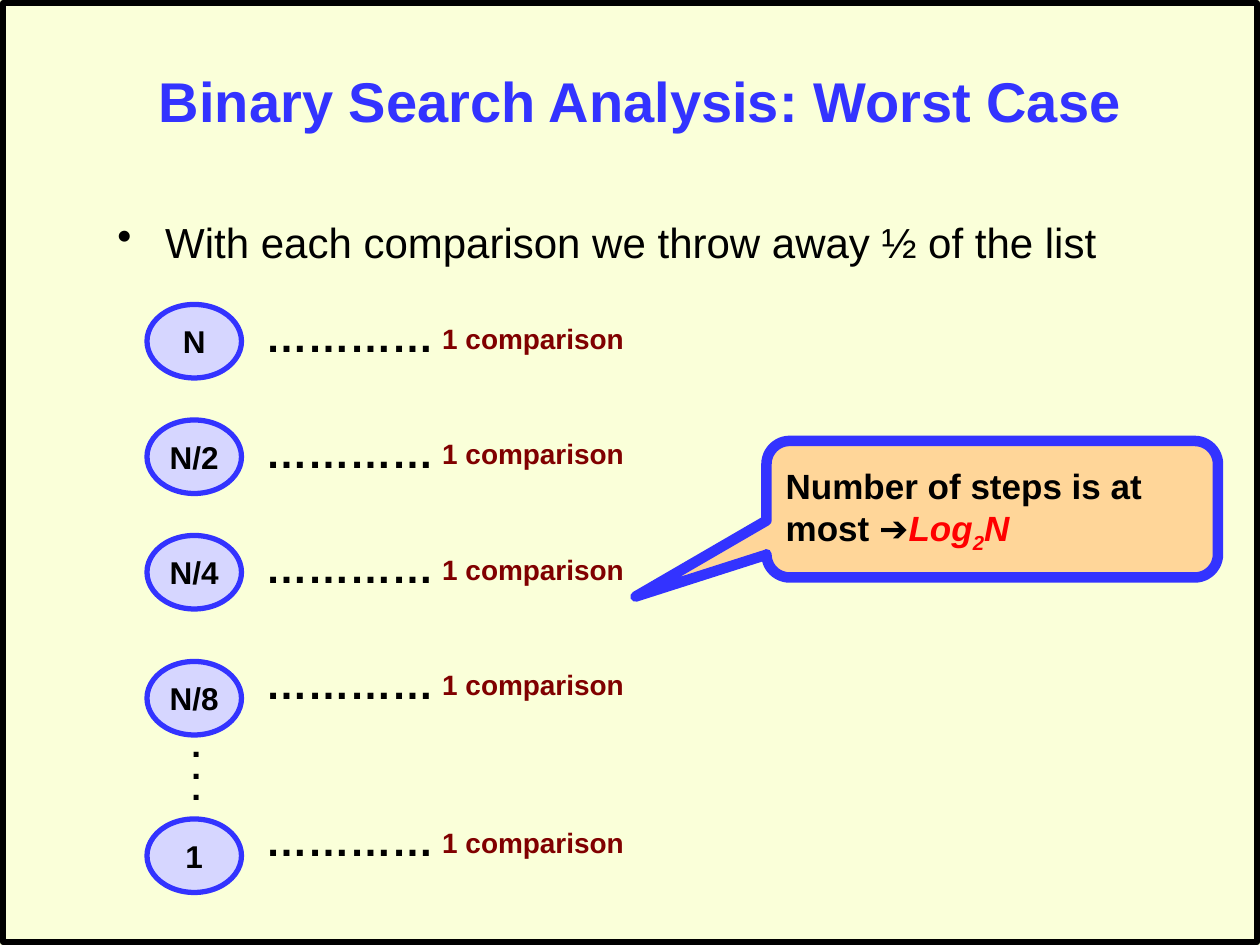
from lxml.etree import SubElement
from pptx import Presentation
from pptx.dml.color import RGBColor
from pptx.enum.shapes import MSO_SHAPE
from pptx.enum.text import MSO_ANCHOR, PP_ALIGN
from pptx.oxml.ns import qn
from pptx.util import Inches, Pt

CREAM = RGBColor(0xFA, 0xFF, 0xD9)
BLACK = RGBColor(0x00, 0x00, 0x00)
BLUE = RGBColor(0x33, 0x33, 0xFF)
LILAC = RGBColor(0xD6, 0xD6, 0xFF)
MAROON = RGBColor(0x80, 0x00, 0x00)
PEACH = RGBColor(0xFF, 0xD6, 0x99)
RED = RGBColor(0xFF, 0x00, 0x00)

COLS, ROWS = 120, 90
UNIT = Inches(10) / COLS
STEPS = [("N", 29, 29), ("N/2", 40, 40), ("N/4", 51, 51), ("N/8", 63, 62), ("1", 78, 77)]


def grid(*cells):
    return [round(c * UNIT) for c in cells]


def add_run(p, text, size, color=BLACK, bold=True, italic=False):
    r = p.add_run()
    r.text = text
    r.font.name = "Arial"
    r.font.size = Pt(size)
    r.font.bold = bold
    r.font.italic = italic
    r.font.color.rgb = color
    return r


def add_text(s, cells, text, size, color=BLACK, bold=True, align=PP_ALIGN.CENTER,
             anchor=MSO_ANCHOR.TOP, wrap=False):
    tf = s.shapes.add_textbox(*grid(*cells)).text_frame
    tf.word_wrap = wrap
    tf.vertical_anchor = anchor
    p = tf.paragraphs[0]
    p.alignment = align
    add_run(p, text, size, color, bold)
    return tf


def add_outlined(s, kind, cells, fill, line, width):
    sp = s.shapes.add_shape(kind, *grid(*cells))
    sp.shadow.inherit = False
    if fill is None:
        sp.fill.background()
    else:
        sp.fill.solid()
        sp.fill.fore_color.rgb = fill
    sp.line.color.rgb = line
    sp.line.width = Pt(width)
    return sp


def add_bullet(s, cells, text):
    p = add_text(s, cells, text, 24, bold=False, align=PP_ALIGN.LEFT, wrap=True).paragraphs[0]
    p.space_before = Pt(6)
    pPr = p._p.get_or_add_pPr()
    pPr.set("marL", str(Inches(0.38)))
    pPr.set("indent", str(Inches(-0.38)))
    SubElement(pPr, qn("a:buChar")).set("char", "•")


def add_step(s, label, row, text_row):
    sp = add_outlined(s, MSO_SHAPE.OVAL, (14, row, 9, 7), LILAC, BLUE, 3)
    tf = sp.text_frame
    tf.word_wrap = False
    tf.vertical_anchor = MSO_ANCHOR.MIDDLE
    p = tf.paragraphs[0]
    p.alignment = PP_ALIGN.CENTER
    add_run(p, label, 18)
    add_text(s, (24.1, text_row, 18.4, 6), "…………", 24)
    add_text(s, (40.2, text_row + 1, 20.4, 4.4), " 1 comparison", 16, MAROON)


def add_dots(s, cells):
    tf = add_text(s, cells, ".", 20, wrap=True)
    for _ in range(2):
        p = tf.add_paragraph()
        p.alignment = PP_ALIGN.CENTER
        add_run(p, ".", 20)
    for p in tf.paragraphs:
        p.line_spacing = 0.5


def add_callout(s, cells):
    sp = add_outlined(s, MSO_SHAPE.ROUNDED_RECTANGULAR_CALLOUT, cells, PEACH, BLUE, 6)
    for i, value in enumerate((-0.79, 0.64, 0.17)):
        sp.adjustments[i] = value
    tf = sp.text_frame
    tf.word_wrap = True
    tf.vertical_anchor = MSO_ANCHOR.MIDDLE
    first, second = tf.paragraphs[0], tf.add_paragraph()
    first.alignment = second.alignment = PP_ALIGN.LEFT
    add_run(first, "Number of steps is at", 20)
    add_run(second, "most ➔", 20)
    add_run(second, "Log", 20, RED, italic=True)
    r = add_run(second, "2", 20, RED, italic=True)
    r._r.get_or_add_rPr().set("baseline", "-25000")
    add_run(second, "N", 20, RED, italic=True)


def main():
    prs = Presentation()
    prs.slide_width, prs.slide_height = grid(COLS, ROWS)
    s = prs.slides.add_slide(prs.slide_layouts[6])
    s.background.fill.solid()
    s.background.fill.fore_color.rgb = CREAM
    add_outlined(s, MSO_SHAPE.RECTANGLE, (0.3, 0.3, COLS - 0.6, ROWS - 0.6), None, BLACK, 3.75)
    add_text(s, (10, 3, 102, 13), "Binary Search Analysis: Worst Case", 32, BLUE,
             anchor=MSO_ANCHOR.MIDDLE, wrap=True)
    add_bullet(s, (10, 20, 102, 8), "With each comparison we throw away ½ of the list")
    for step in STEPS:
        add_step(s, *step)
    add_dots(s, (16.2, 70, 5, 7.2))
    add_callout(s, (73, 42, 43, 13))
    prs.save("out.pptx")


if __name__ == "__main__":
    main()
